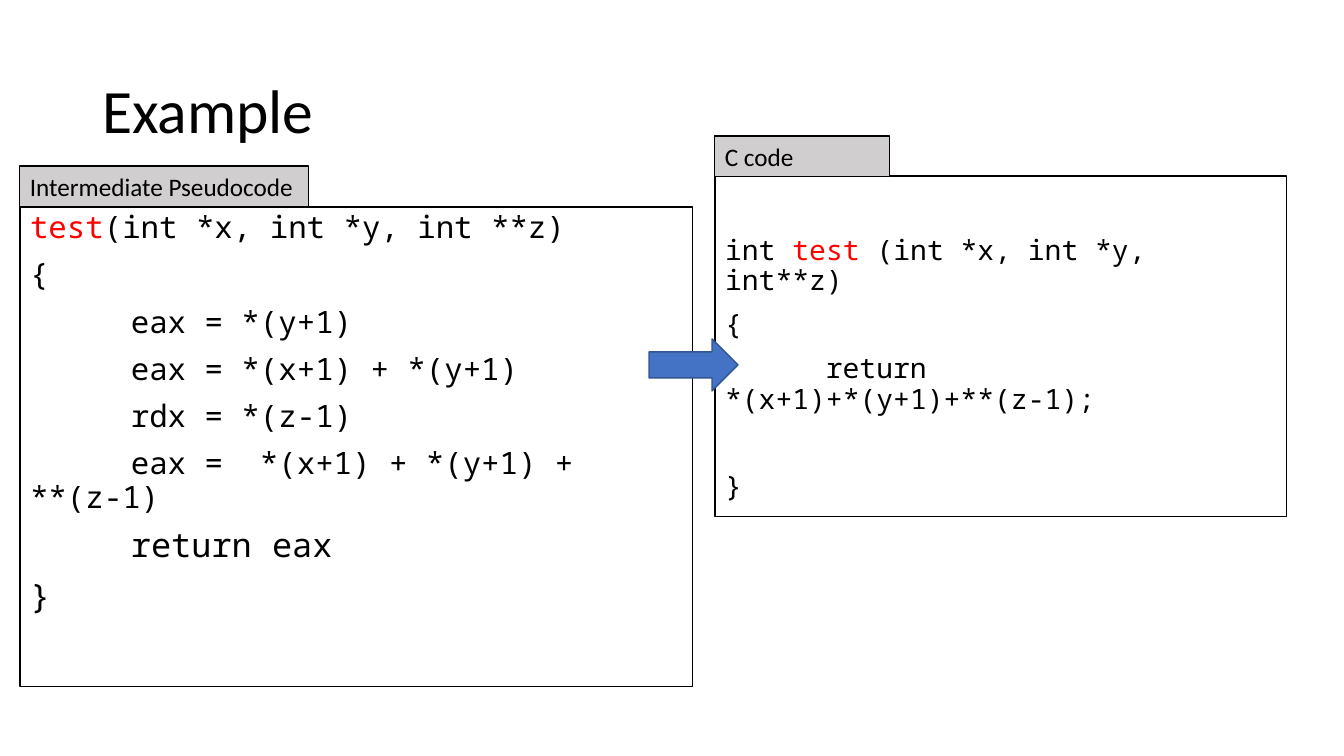
from dataclasses import dataclass

from lxml.etree import SubElement
from pptx import Presentation
from pptx.dml.color import RGBColor
from pptx.enum.shapes import MSO_SHAPE
from pptx.enum.text import MSO_ANCHOR, MSO_AUTO_SIZE, PP_ALIGN
from pptx.oxml.ns import qn
from pptx.util import Emu, Pt


@dataclass(frozen=True)
class Theme:
    text: str = "000000"
    highlight: str = "FF0000"
    label_fill: str = "D0CECE"
    arrow_fill: str = "4472C4"
    arrow_line: str = "325491"
    font: str = "Calibri"
    code_font: str = "Noto Sans Mono"
    title_size: int = 44
    label_size: int = 18
    pseudocode_size: int = 22
    pseudocode_end_size: int = 24
    c_code_size: int = 20
    thin_line: float = 0.75
    arrow_line_width: float = 1
    line_spacing: float = 0.9
    code_gap: int = 10
    tab_width: int = 914400


def px(length):
    return Emu(round(length * 914400 / 100.8))


class CodeSlide:
    def __init__(self, deck, theme):
        self.theme = theme
        self.page = deck.slides.add_slide(deck.slide_layouts[3])

    def place(self, box, area):
        box.left, box.top, box.width, box.height = map(px, area)

    def style_font(self, font, name, size):
        font.name, font.size = name, Pt(size)
        font.color.rgb = RGBColor.from_string(self.theme.text)

    def outline(self, box, color, width):
        box.line.color.rgb = RGBColor.from_string(color)
        box.line.width = Pt(width)

    def title(self, text, area):
        box = self.page.shapes.title
        self.place(box, area)
        frame = box.text_frame
        frame.text = text
        frame.vertical_anchor = MSO_ANCHOR.MIDDLE
        frame.auto_size = MSO_AUTO_SIZE.NONE
        para = frame.paragraphs[0]
        para.alignment = PP_ALIGN.LEFT
        para.line_spacing = self.theme.line_spacing
        self.style_font(para.font, self.theme.font, self.theme.title_size)

    def code(self, index, area, lines, top_margin=5):
        """Fill a body placeholder with (spans, size, space before) lines."""
        box = self.page.placeholders[index]
        self.place(box, area)
        self.outline(box, self.theme.text, self.theme.thin_line)
        frame = box.text_frame
        frame.word_wrap = True
        frame.auto_size = MSO_AUTO_SIZE.NONE
        frame.vertical_anchor = MSO_ANCHOR.TOP
        frame.margin_top = px(top_margin)
        for number, (spans, size, gap) in enumerate(lines):
            para = frame.add_paragraph() if number else frame.paragraphs[0]
            para.line_spacing = self.theme.line_spacing
            para.space_before = Pt(gap)
            self.style_font(para.font, self.theme.code_font, size)
            properties = para._p.get_or_add_pPr()
            properties.set("marL", "0")
            properties.set("indent", "0")
            properties.set("defTabSz", str(self.theme.tab_width))
            # The bullet element belongs before the default run properties.
            bullet = SubElement(properties, qn("a:buNone"))
            properties.find(qn("a:defRPr")).addprevious(bullet)
            for text in spans:
                span = para.add_run()
                span.text = text
                self.style_font(span.font, self.theme.code_font, size)
                if text == "test":
                    span.font.color.rgb = RGBColor.from_string(self.theme.highlight)

    def shape(self, kind, area, fill, line, width):
        box = self.page.shapes.add_shape(kind, *map(px, area))
        box.shadow.inherit = False
        box.fill.solid()
        box.fill.fore_color.rgb = RGBColor.from_string(fill)
        self.outline(box, line, width)
        return box

    def label(self, text, area):
        theme = self.theme
        box = self.shape(MSO_SHAPE.RECTANGLE, area, theme.label_fill, theme.text, theme.thin_line)
        frame = box.text_frame
        frame.text = text
        frame.word_wrap = True
        frame.vertical_anchor = MSO_ANCHOR.TOP
        para = frame.paragraphs[0]
        para.alignment = PP_ALIGN.LEFT
        self.style_font(para.font, theme.font, theme.label_size)

    def arrow(self, area):
        theme = self.theme
        self.shape(MSO_SHAPE.RIGHT_ARROW, area, theme.arrow_fill, theme.arrow_line,
                   theme.arrow_line_width)


def main():
    theme = Theme()
    deck = Presentation()
    deck.slide_width, deck.slide_height = px(1344), px(756)
    slide = CodeSlide(deck, theme)
    slide.title("Example", (92, 41, 1159, 146))

    pseudocode = [
        ["test", "(int *x, int *y, int **z)"],
        ["{"],
        ["\teax = *(y+1)"],
        ["\teax = *(x+1) + *(y+1)"],
        ["\trdx = *(z-1)"],
        ["\teax =  *(x+1) + *(y+1) + **(z-1)"],
    ]
    pseudocode_end = [["\treturn eax"], ["}"]]
    slide.code(
        1, (20, 207, 673, 480),
        [(spans, theme.pseudocode_size, theme.code_gap) for spans in pseudocode]
        + [(spans, theme.pseudocode_end_size, theme.code_gap) for spans in pseudocode_end],
    )

    c_code = [
        (["int ", "test", " (int *x, int *y, int**z)"], theme.code_gap),
        (["{"], theme.code_gap),
        (["\treturn *(x+1)+*(y+1)+**(z-1);"], theme.code_gap),
        (["}"], 41),
    ]
    slide.code(
        2, (715, 176, 572, 341),
        [(spans, theme.c_code_size, gap) for spans, gap in c_code],
        top_margin=60,
    )

    slide.label("C code", (715, 136, 175, 41))
    slide.label("Intermediate Pseudocode", (20, 166, 289, 41))
    slide.arrow((649, 339, 89, 52))
    deck.save("out.pptx")


if __name__ == "__main__":
    main()
